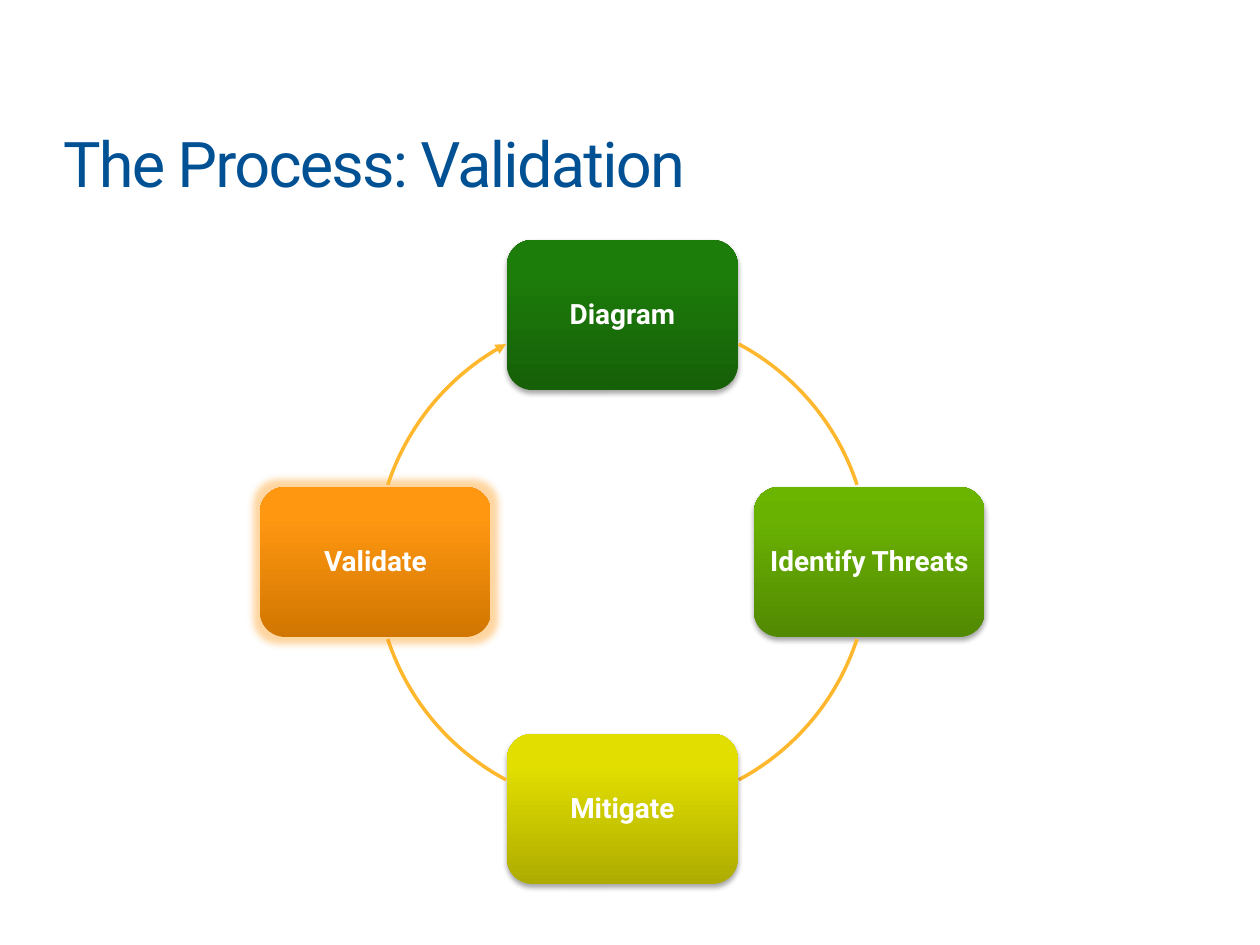
import copy
import math

import pptx
import pptx.dml.color
import pptx.enum.shapes
import pptx.enum.text
import pptx.oxml
import pptx.oxml.ns
import pptx.util

Inches, Pt = pptx.util.Inches, pptx.util.Pt
MSO_SHAPE = pptx.enum.shapes.MSO_SHAPE
NS = pptx.oxml.ns.nsdecls("a")

COLORS = {"title": "005194", "arc": "FFB82E", "text": "FFFFFF",
          "shadow": "000000", "glow": "FF9813"}

# Label and gradient (bottom, upper, top), clockwise from the top
STEPS = [
    ("Diagram", ("166008", "1D7D0A", "1C7F08")),
    ("Identify Threats", ("528902", "6AB202", "6BB500")),
    ("Mitigate", ("AEAC00", "E2DF00", "E3E100")),
    ("Validate", ("D17601", "FF9711", "FF9813")),
]
ACTIVE = "Validate"

# Cycle geometry
CX, CY, RADIUS = 4.94, 4.46, 1.96
BOX_W, BOX_H = 1.83, 1.19
# Angles from the horizontal at which arcs meet side and top boxes
SIDE_ANGLE, TOP_ANGLE = 18.2, 61.9


def rgb(value):
    return pptx.dml.color.RGBColor.from_string(value)


class CycleSlide:
    font = "Roboto"

    def __init__(self, prs):
        self.s = prs.slides.add_slide(prs.slide_layouts[5])

    def run(self, p, text, size, color, bold=False):
        r = p.add_run()
        r.text = text
        r.font.name, r.font.size, r.font.bold = self.font, Pt(size), bold
        r.font.color.rgb = rgb(color)
        return r

    def frame(self, tf, inset, align):
        tf.word_wrap = True
        tf.vertical_anchor = pptx.enum.text.MSO_ANCHOR.MIDDLE
        tf.margin_left = tf.margin_right = Inches(inset)
        tf.margin_top = tf.margin_bottom = Inches(inset)
        p = tf.paragraphs[0]
        p.alignment = align
        return p

    def title(self, text, x, y, w, h):
        sp = self.s.shapes.title
        sp.left, sp.top, sp.width, sp.height = map(Inches, (x, y, w, h))
        p = self.frame(sp.text_frame, 0, pptx.enum.text.PP_ALIGN.LEFT)
        r = self.run(p, text, 36, COLORS["title"])
        r.font._element.set("spc", "-100")

    def effect(self, sp, glow):
        sp.shadow.inherit = False
        if glow:
            xml = (f'<a:glow {NS} rad="{Pt(8)}"><a:srgbClr val="{COLORS["glow"]}">'
                   '<a:alpha val="40000"/></a:srgbClr></a:glow>')
        else:
            xml = (f'<a:outerShdw {NS} blurRad="{Pt(3.1)}" dist="{Pt(1.8)}" '
                   f'dir="5400000" rotWithShape="0"><a:srgbClr val="{COLORS["shadow"]}">'
                   '<a:alpha val="35000"/></a:srgbClr></a:outerShdw>')
        effects = sp._element.spPr.find(pptx.oxml.ns.qn("a:effectLst"))
        effects.append(pptx.oxml.parse_xml(xml))

    def box(self, text, gradient, cx, cy, glow=False):
        sp = self.s.shapes.add_shape(
            MSO_SHAPE.ROUNDED_RECTANGLE, Inches(cx - BOX_W / 2),
            Inches(cy - BOX_H / 2), Inches(BOX_W), Inches(BOX_H))
        sp.line.fill.background()
        sp.fill.gradient()
        sp.fill.gradient_angle = 90
        first = sp.fill._xPr.find(".//" + pptx.oxml.ns.qn("a:gs"))
        first.addnext(copy.deepcopy(first))
        for stop, pos, color in zip(sp.fill.gradient_stops, (0, 0.8, 1), gradient):
            stop.position = pos
            stop.color.rgb = rgb(color)
        self.effect(sp, glow)
        p = self.frame(sp.text_frame, 0.05, pptx.enum.text.PP_ALIGN.CENTER)
        p.line_spacing = 0.9
        self.run(p, text, 16, COLORS["text"], bold=True)

    def arc(self, start, end, arrow=False):
        sp = self.s.shapes.add_shape(
            MSO_SHAPE.ARC, Inches(CX - RADIUS), Inches(CY - RADIUS),
            Inches(2 * RADIUS), Inches(2 * RADIUS))
        # Adjustments count 100000ths, angles 60000ths of a degree
        sp.adjustments[0], sp.adjustments[1] = start * 0.6, end * 0.6
        sp.shadow.inherit = False
        sp.fill.background()
        sp.line.color.rgb = rgb(COLORS["arc"])
        sp.line.width = Pt(2)
        if arrow:
            sp.line._get_or_add_ln().append(
                pptx.oxml.parse_xml(f'<a:tailEnd {NS} type="triangle"/>'))


def main():
    prs = pptx.Presentation()
    prs.slide_width, prs.slide_height = Inches(10), Inches(7.5)
    slide = CycleSlide(prs)

    # Title
    slide.title("The Process: Validation", 0.5, 0.98, 9.01, 0.61)

    # Four steps, each followed by its arc
    arcs = [(360 - TOP_ANGLE, 360 - SIDE_ANGLE), (SIDE_ANGLE, TOP_ANGLE),
            (180 - TOP_ANGLE, 180 - SIDE_ANGLE), (180 + SIDE_ANGLE, 180 + TOP_ANGLE)]
    for i, ((label, gradient), (start, end)) in enumerate(zip(STEPS, arcs)):
        angle = math.radians(90 * i - 90)
        slide.box(label, gradient, CX + RADIUS * math.cos(angle),
                  CY + RADIUS * math.sin(angle), glow=label == ACTIVE)
        slide.arc(start, end, arrow=i == len(STEPS) - 1)

    prs.save("out.pptx")


if __name__ == "__main__":
    main()
